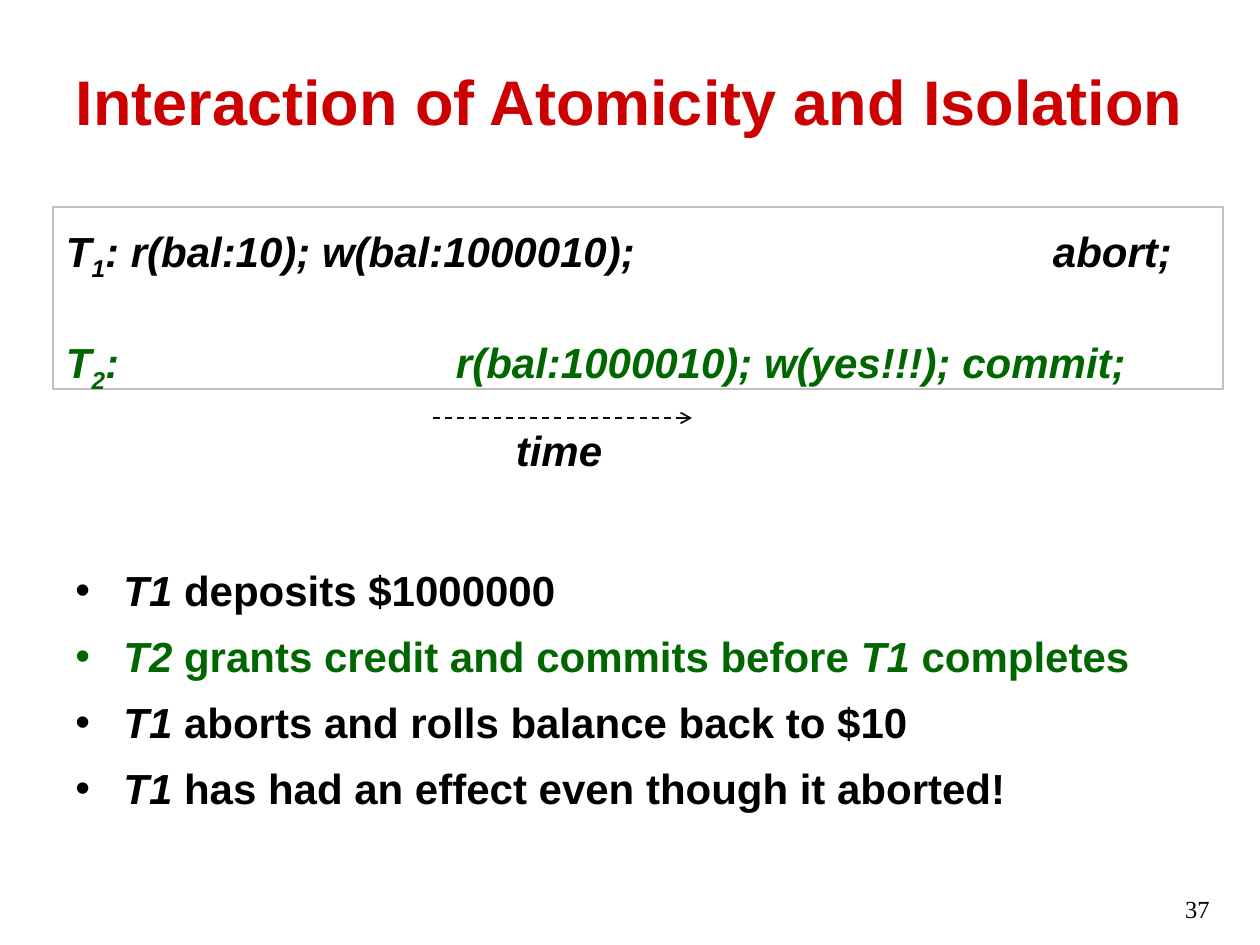
import dataclasses
import typing

import lxml.etree
import pptx
import pptx.dml.color
import pptx.enum.dml
import pptx.enum.shapes
import pptx.enum.text
import pptx.oxml.ns
import pptx.util

SCALE = 914400 // 126
BLACK, GREEN, RED = "000000", "006600", "CC0000"
ALIGN = pptx.enum.text.PP_ALIGN
ANCHOR = pptx.enum.text.MSO_ANCHOR


@dataclasses.dataclass
class Run:
    text: str
    slant: bool = False
    sub: bool = False


@dataclasses.dataclass
class Para:
    runs: list[Run]
    color: str = BLACK
    size: int = 24
    face: str = "Arial"
    bold: bool = True
    align: typing.Any = ALIGN.LEFT
    before: float = 0
    lines: float = 1
    bullet: bool = False
    tab: int = 0


def px(n: int) -> pptx.util.Emu:
    return pptx.util.Emu(n * SCALE)


def rgb(code: str) -> pptx.dml.color.RGBColor:
    return pptx.dml.color.RGBColor.from_string(code)


def add(parent: typing.Any, tag: str, **attrs: str) -> typing.Any:
    return lxml.etree.SubElement(parent, pptx.oxml.ns.qn(tag), attrs)


def write(frame: typing.Any, paras: list[Para], anchor: typing.Any = ANCHOR.TOP) -> None:
    frame.word_wrap = True
    frame.vertical_anchor = anchor
    for i, item in enumerate(paras):
        para = frame.paragraphs[0] if i == 0 else frame.add_paragraph()
        para.alignment = item.align
        para.line_spacing = item.lines
        para.space_before = pptx.util.Pt(item.before)
        props = para._p.get_or_add_pPr()
        if item.bullet:
            props.set("marL", str(px(48)))
            props.set("indent", str(px(-48)))
            add(props, "a:buFont", typeface="Arial")
            add(props, "a:buChar", char="•")
        if item.tab:
            add(add(props, "a:tabLst"), "a:tab", pos=str(px(item.tab)), algn="l")
        font = para.font
        font.name, font.size, font.bold = item.face, pptx.util.Pt(item.size), item.bold
        font.color.rgb = rgb(item.color)
        for part in item.runs:
            run = para.add_run()
            run.text = part.text
            run.font.italic = part.slant
            if part.sub:
                run._r.get_or_add_rPr().set("baseline", "-25000")


def label(slide: typing.Any, box: tuple[int, int, int, int], paras: list[Para],
          anchor: typing.Any = ANCHOR.TOP) -> None:
    shape = slide.shapes.add_textbox(*map(px, box))
    write(shape.text_frame, paras, anchor)


def step(num: str, text: str, tab: int, color: str = BLACK, before: float = 0) -> Para:
    runs = [Run("T", True), Run(num, True, True), Run(text, True)]
    return Para(runs, color, tab=tab, before=before)


def point(*runs: Run, color: str = BLACK) -> Para:
    return Para(list(runs), color, before=1.7, lines=1.25, bullet=True)


deck = pptx.Presentation()
deck.slide_width, deck.slide_height = px(1260), px(945)
slide = deck.slides.add_slide(deck.slide_layouts[6])

# Page number and title
label(slide, (960, 888, 262, 43),
      [Para([Run("37")], size=14, face="Times New Roman", bold=False, align=ALIGN.RIGHT)])
label(slide, (10, 53, 1239, 95),
      [Para([Run("Interaction of Atomicity and Isolation")], RED, 36, align=ALIGN.CENTER)],
      ANCHOR.MIDDLE)

# Outcome points
label(slide, (63, 546, 1103, 268), [
    point(Run("T1 ", True), Run("deposits $1000000")),
    point(Run("T2", True), Run(" grants credit and commits before "),
          Run("T1 ", True), Run("completes"), color=GREEN),
    point(Run("T1", True), Run(" aborts and rolls balance back to $10")),
    point(Run("T1 ", True), Run("has had an effect even though it aborted!")),
])

# Schedule of both transactions
frame = slide.shapes.add_shape(pptx.enum.shapes.MSO_SHAPE.RECTANGLE,
                               *map(px, (53, 207, 1170, 182)))
frame.shadow.inherit = False
frame.fill.background()
frame.line.color.rgb = rgb("C0C0C0")
frame.line.width = pptx.util.Pt(0.75)
body = frame.text_frame
body.margin_left = body.margin_right = px(13)
body.margin_top, body.margin_bottom = px(18), px(0)
write(body, [
    step("1", ": r(bal:10); w(bal:1000010);\tabort;", 987),
    step("2", ":\tr(bal:1000010); w(yes!!!); commit;", 390, GREEN, 31),
])

# Time arrow
arrow = slide.shapes.add_connector(pptx.enum.shapes.MSO_CONNECTOR.STRAIGHT,
                                   *map(px, (433, 418, 692, 418)))
arrow.line.color.rgb = rgb("0D0D0D")
arrow.line.width = pptx.util.Pt(1)
arrow.line.dash_style = pptx.enum.dml.MSO_LINE.DASH
add(arrow.line._get_or_add_ln(), "a:tailEnd", type="arrow")
add(arrow._element.spPr, "a:effectLst")
label(slide, (503, 418, 112, 63), [Para([Run("time", True)], align=ALIGN.CENTER)])

deck.save("out.pptx")
